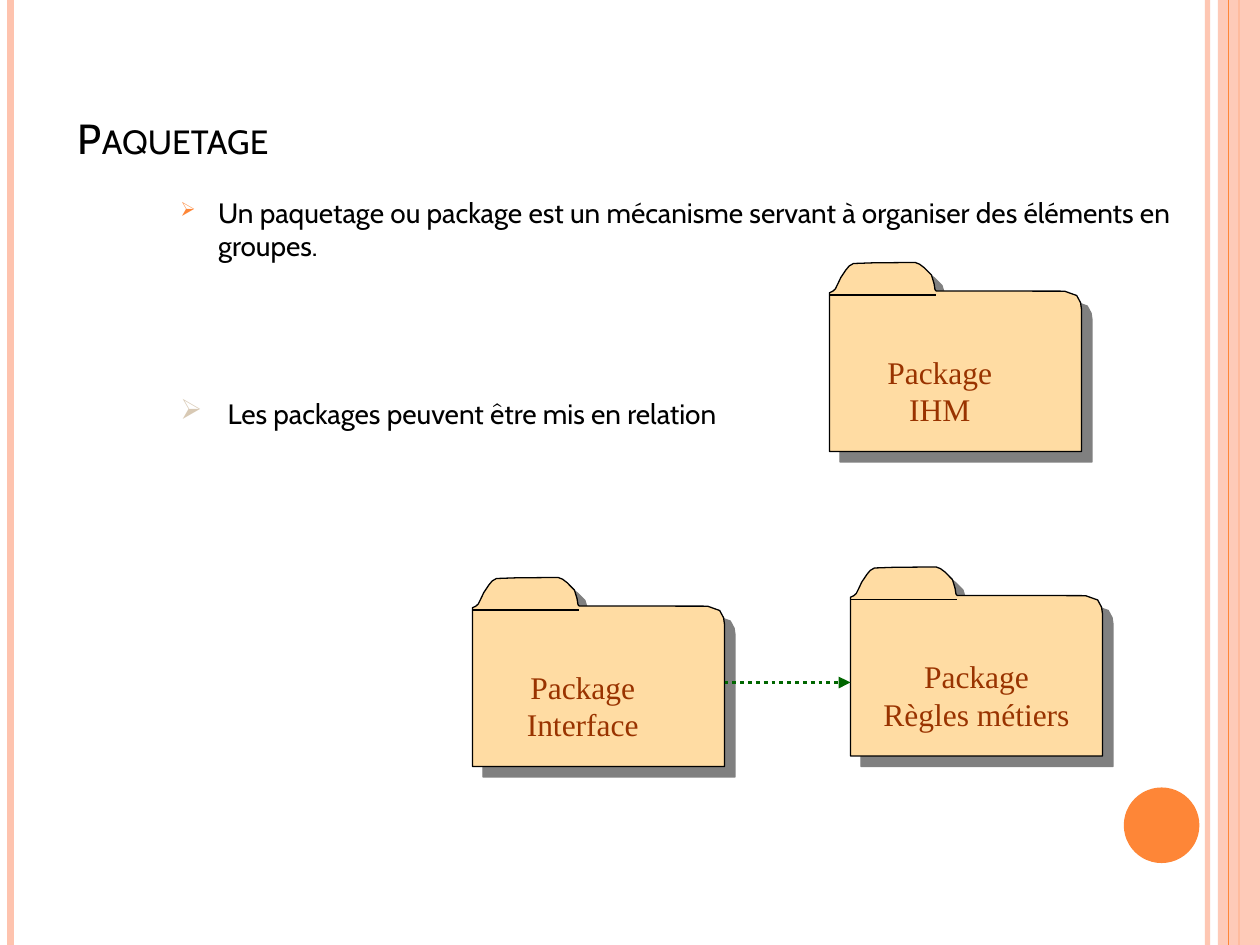
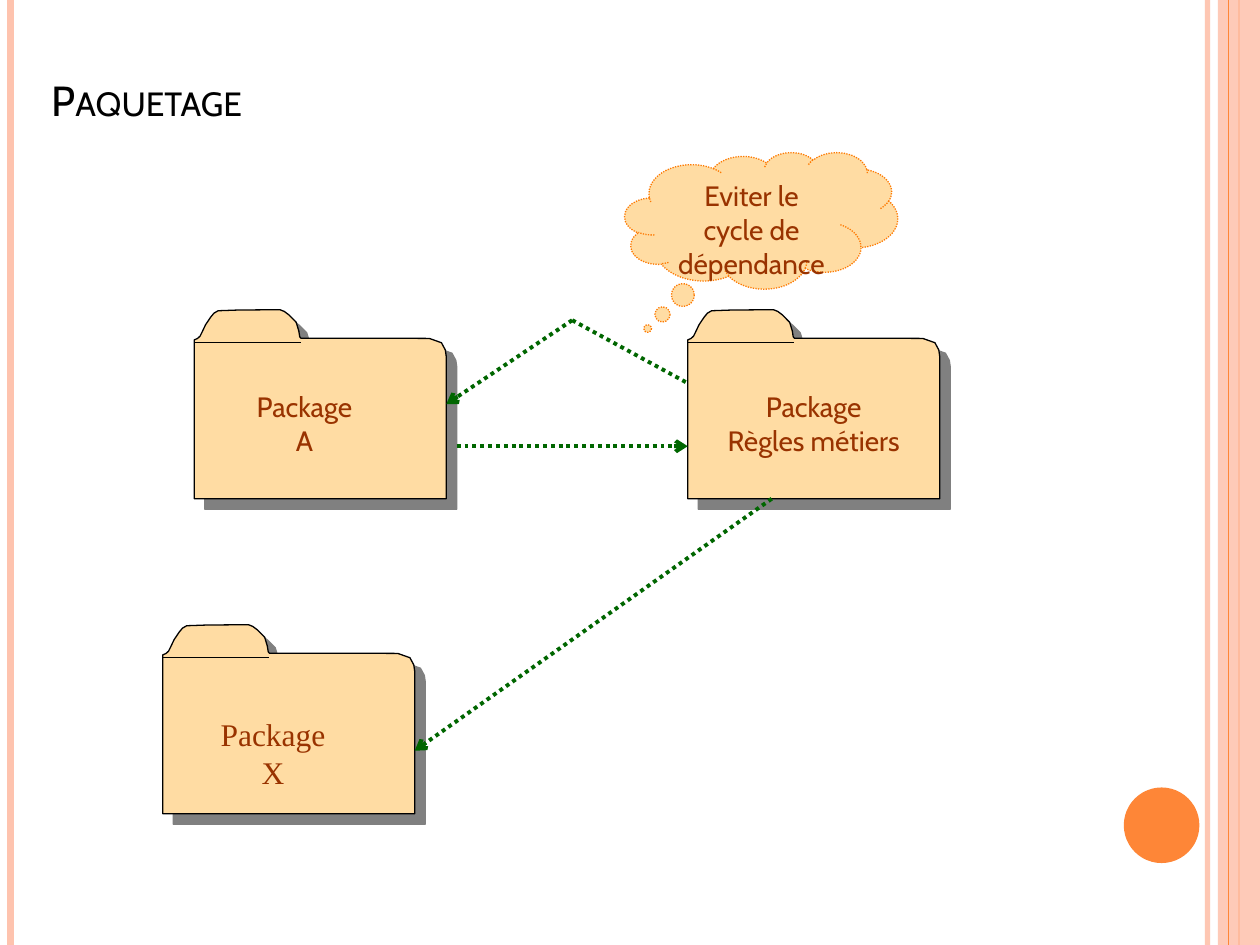
from lxml import etree
from pptx import Presentation
from pptx.dml.color import RGBColor
from pptx.enum import dml, shapes, text
from pptx.oxml.ns import qn
from pptx.util import Pt

BLACK = RGBColor(0x00, 0x00, 0x00)
GREY = RGBColor(0x80, 0x80, 0x80)
PEACH = RGBColor(0xFE, 0xC3, 0xAE)
ORANGE = RGBColor(0xFE, 0x86, 0x37)
RIM = RGBColor(0xFD, 0x7A, 0x03)
SAND = RGBColor(0xFF, 0xDC, 0xA3)
BEIGE = RGBColor(0xD8, 0xC9, 0xB4)
BROWN = RGBColor(0x99, 0x33, 0x00)
GREEN = RGBColor(0x00, 0x66, 0x00)
SANS = "Cabin"
SERIF = "Times New Roman"
WIDE, HIGH = 720, 540

# Outline of a folder, from its top left corner
FOLDER = [
    (132, 16.4), (61, 16.3), (60.3, 15.5), (59.8, 12.2), (58.3, 7.2),
    (54, 2.9), (51.5, 1), (49, 0), (25, 0.2), (13.7, 0.6), (11.3, 2),
    (9.4, 4.3), (6.5, 8.6), (4.8, 12.2), (3.4, 15.1), (2, 16.4),
    (0, 17.3), (0, 108), (144, 108), (144, 26.6), (143.5, 23),
    (141.3, 18.9), (134.6, 16.5),
]
TAB = 61, 18.6


def draw_line(canvas, ends, color, width):
    line = canvas.add_connector(shapes.MSO_CONNECTOR.STRAIGHT, *map(Pt, ends))
    line.line.color.rgb = color
    line.line.width = Pt(width)
    etree.SubElement(line._element.spPr, qn("a:effectLst"))
    return line


def write(shape, words, size, font, color, align=text.PP_ALIGN.LEFT):
    """Fill a shape with one paragraph; each line of words is a run."""
    frame = shape.text_frame
    frame.word_wrap = True
    par = frame.paragraphs[0]
    par.alignment = align
    for i, part in enumerate(words.split("\n")):
        if i:
            par.add_line_break()
        run = par.add_run()
        run.text = part
        run.font.size = Pt(size)
        run.font.name = font
        run.font.color.rgb = color
    return par


prs = Presentation()
prs.slide_width, prs.slide_height = Pt(WIDE), Pt(HIGH)

# Title left, top and anchor
titles = [
    (37.4, 30.2, text.MSO_ANCHOR.BOTTOM),
    (22.3, 23.8, text.MSO_ANCHOR.MIDDLE),
]
slides = []
for left, top, anchor in titles:
    slide = prs.slides.add_slide(prs.slide_layouts[6])
    slides.append(slide)

    # Side bands and page disc
    edge = draw_line(slide.shapes, (690, 0, 690, HIGH), PEACH, 3)
    draw_line(slide.shapes, (6, 0, 6, HIGH), PEACH, 4.5)
    draw_line(slide.shapes, (708, 0, 708, HIGH), ORANGE, 1.5) 
    band = slide.shapes.add_shape(
        shapes.MSO_SHAPE.RECTANGLE, Pt(696), 0, Pt(24), Pt(HIGH))
    draw_line(slide.shapes, (702, 0, 702, HIGH), ORANGE, 0.75)
    disc = slide.shapes.add_shape(
        shapes.MSO_SHAPE.OVAL, Pt(642.2), Pt(450), Pt(43.2), Pt(43.2))
    for shape, color in (band, PEACH), (disc, ORANGE):
        shape.shadow.inherit = False
        shape.fill.solid()
        shape.fill.fore_color.rgb = color
        shape.line.fill.background()
    for shape, alpha in (edge, 93), (band, 87):
        paint = next(shape._element.spPr.iter(qn("a:srgbClr")))
        etree.SubElement(paint, qn("a:alpha"), val=str(alpha * 1000))

    title = slide.shapes.add_textbox(
        Pt(left), Pt(top), Pt(WIDE - left), Pt(66.2))
    title.text_frame.vertical_anchor = anchor
    par = write(title, "Paquetage", 24, SANS, BLACK)
    par.runs[0].font._element.set("cap", "small")

# Bullets: top, height, indent, colour, size in percent, words
bullets = [
    (108, 324, 21.6, ORANGE, 70,
     "Un paquetage ou package est un mécanisme servant à organiser "
     "des éléments en groupes."),
    (223, 227, 27, BEIGE, 100, "Les packages peuvent être mis en relation"),
]
for top, height, indent, color, size, words in bullets:
    box = slides[0].shapes.add_textbox(Pt(96), Pt(top), Pt(612), Pt(height))
    props = write(box, words, 16, SANS, BLACK)._p.get_or_add_pPr()
    props.set("marL", str(Pt(indent)))
    props.set("indent", str(-Pt(indent)))
    paint = etree.SubElement(props, qn("a:buClr"))
    etree.SubElement(paint, qn("a:srgbClr"), val=str(color))
    etree.SubElement(props, qn("a:buSzPct"), val=str(size * 1000))
    etree.SubElement(props, qn("a:buChar"), char="➢")

# Folders: slide, left, top, label, label offset and width, size, font
folders = [
    (0, 474, 150, "Package\nIHM", 18, 48, 90, 18, SERIF),
    (0, 270, 330, "Package\nInterface", 18, 48, 90, 18, SERIF),
    (0, 486, 324, "Package\nRègles métiers", 6, 48, 132, 18, SERIF),
    (1, 111, 177, "Package\nA", 18, 42, 90, 16, SANS),
    (1, 93, 357, "Package\nX", 18, 48, 90, 18, SERIF),
    (1, 393, 177, "Package\nRègles métiers", 6, 42, 132, 16, SANS),
]
for page, left, top, words, dx, dy, width, size, font in folders:
    canvas = slides[page].shapes
    group = canvas.add_group_shape().shapes
    points = [(Pt(left + x), Pt(top + y)) for x, y in FOLDER]
    pen = group.build_freeform(*points[0])
    pen.add_line_segments(points[1:], close=True)
    folder = pen.convert_to_shape()
    folder.fill.solid()
    folder.fill.fore_color.rgb = SAND
    folder.line.color.rgb = BLACK
    folder.line.width = Pt(0.75)
    folder.shadow.inherit = False
    effects = folder._element.spPr.find(qn("a:effectLst"))
    shade = etree.SubElement(
        effects, qn("a:outerShdw"), dist=str(Pt(8.5)), dir="2700000",
        algn="ctr", rotWithShape="0")
    etree.SubElement(shade, qn("a:srgbClr"), val=str(GREY))
    draw_line(group, (left, top + TAB[1], left + TAB[0], top + TAB[1]),
              BLACK, 0.75)
    label = canvas.add_textbox(
        Pt(left + dx), Pt(top + dy), Pt(width), Pt(50 if size == 18 else 46))
    write(label, words, size, font, BROWN, text.PP_ALIGN.CENTER)

# Dependencies: slide, ends, arrowhead
links = [
    (0, (414, 390, 486, 390), "triangle"),
    (1, (261, 255, 393, 255), "arrow"),
    (1, (327, 183, 255, 231), "arrow"),
    (1, (327, 183, 393, 219), None),
    (1, (441, 285, 237, 429), "arrow"),
]
for page, ends, head in links:
    link = draw_line(slides[page].shapes, ends, GREEN, 2.25)
    link.line.dash_style = dml.MSO_LINE.ROUND_DOT
    if head:
        stroke = link._element.spPr.find(qn("a:ln"))
        etree.SubElement(stroke, qn("a:tailEnd"), type=head)

cloud = slides[1].shapes.add_shape(
    shapes.MSO_SHAPE.CLOUD_CALLOUT, Pt(357), Pt(87), Pt(156), Pt(78))
cloud.adjustments[0] = -0.416
cloud.adjustments[1] = 0.792
cloud.shadow.inherit = False
cloud.fill.solid()
cloud.fill.fore_color.rgb = SAND
cloud.line.color.rgb = RIM
cloud.line.width = Pt(0.75)
cloud.line.dash_style = dml.MSO_LINE.ROUND_DOT
cloud.text_frame.vertical_anchor = text.MSO_ANCHOR.TOP
write(cloud, "Eviter le cycle de dépendance", 16, SANS, BROWN,
      text.PP_ALIGN.CENTER)

prs.save("out.pptx")
